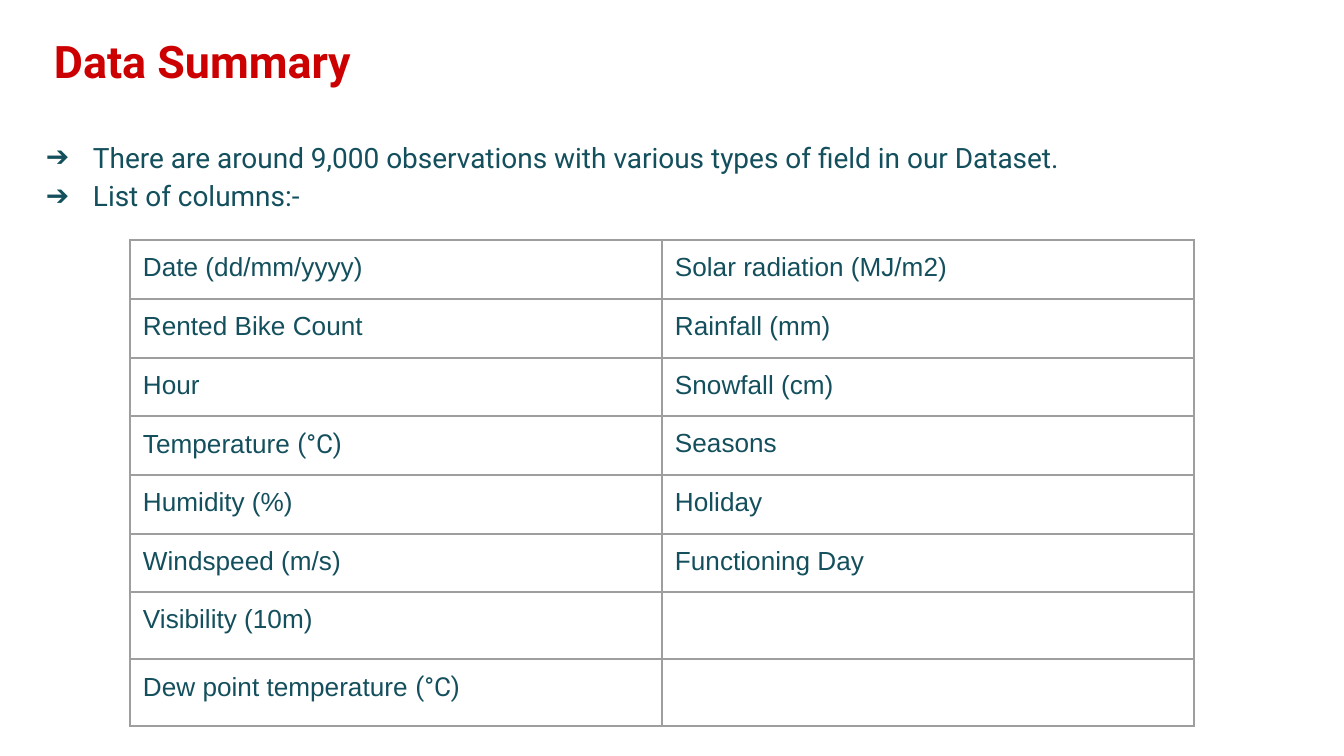
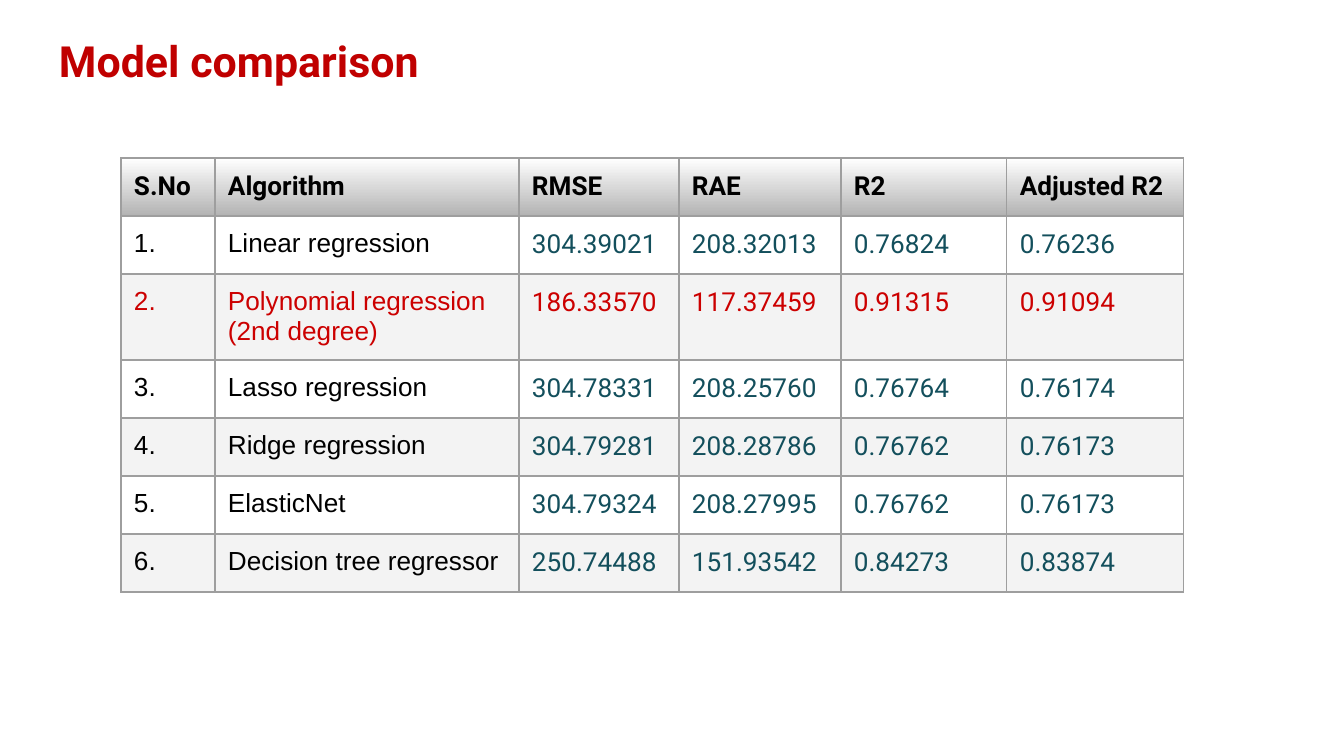
from lxml.etree import SubElement
from pptx import Presentation
from pptx.dml.color import RGBColor
from pptx.enum.text import MSO_ANCHOR, MSO_AUTO_SIZE, PP_ALIGN
from pptx.oxml.ns import qn
from pptx.util import Emu, Pt

# Shared style
RED = RGBColor(0xCC, 0x00, 0x00)
DARK_RED = RGBColor(0xC0, 0x00, 0x00)
TEAL = RGBColor(0x13, 0x4F, 0x5C)
BLACK = RGBColor(0x00, 0x00, 0x00)
WHITE = RGBColor(0xFF, 0xFF, 0xFF)
HEADER_GREY = RGBColor(0xB3, 0xB3, 0xB3)
BAND_GREY = RGBColor(0xF3, 0xF3, 0xF3)
BORDER = RGBColor(0x9E, 0x9E, 0x9E)
ARIAL, ROBOTO = "Arial", "Roboto"
INSET = 13
CELL_SIZE = 14

# Slide 1 content
SUMMARY_POINTS = [
    "There are around 9,000 observations with various types of field in our Dataset.",
    "List of columns:-",
]
UNIT = "(°C)"
FIELDS = [
    ("Date (dd/mm/yyyy)", "Solar radiation (MJ/m2)"),
    ("Rented Bike Count", "Rainfall (mm)"),
    ("Hour", "Snowfall (cm)"),
    ("Temperature (°C)", "Seasons"),
    ("Humidity (%)", "Holiday"),
    ("Windspeed (m/s)", "Functioning Day"),
    ("Visibility (10m)", ""),
    ("Dew point temperature (°C)", ""),
]

# Slide 2 content
HEADERS = ("S.No", "Algorithm", "RMSE", "RAE", "R2", "Adjusted R2")
MODELS = [
    ("Linear regression", "304.39021", "208.32013", "0.76824", "0.76236"),
    ("Polynomial regression (2nd degree)", "186.33570", "117.37459", "0.91315", "0.91094"),
    ("Lasso regression", "304.78331", "208.25760", "0.76764", "0.76174"),
    ("Ridge regression", "304.79281", "208.28786", "0.76762", "0.76173"),
    ("ElasticNet", "304.79324", "208.27995", "0.76762", "0.76173"),
    ("Decision tree regressor", "250.74488", "151.93542", "0.84273", "0.83874"),
]
BEST = 2


def px(n):
    return Emu(round(n * 914400 / 134.4))


def add_run(p, text, size, font, color, bold=False):
    r = p.add_run()
    r.text = text
    r.font.size = Pt(size)
    r.font.name = font
    r.font.bold = bold
    r.font.color.rgb = color


def set_frame(tf, left=INSET, top=INSET):
    tf.word_wrap = True
    tf.auto_size = MSO_AUTO_SIZE.NONE
    tf.vertical_anchor = MSO_ANCHOR.TOP
    tf.margin_left, tf.margin_top = px(left), px(top)
    tf.margin_right = tf.margin_bottom = px(INSET)


def add_slide(prs, title, box, size, color, **insets):
    s = prs.slides.add_slide(prs.slide_layouts[5])
    sp = s.shapes.title
    sp.left, sp.top, sp.width, sp.height = map(px, box)
    set_frame(sp.text_frame, **insets)
    p = sp.text_frame.paragraphs[0]
    p.alignment = PP_ALIGN.LEFT
    add_run(p, title, size, ROBOTO, color, True)
    return s


def add_arrow_bullet(p):
    pPr = p._p.get_or_add_pPr()
    pPr.set("marL", str(px(67)))
    pPr.set("indent", str(px(-47)))
    clr = SubElement(pPr, qn("a:buClr"))
    SubElement(clr, qn("a:srgbClr"), val=str(TEAL))
    SubElement(pPr, qn("a:buFont"), typeface=ROBOTO)
    SubElement(pPr, qn("a:buChar"), char="➔")


def set_borders(cell):
    tcPr = cell._tc.get_or_add_tcPr()
    for side in ("lnL", "lnR", "lnT", "lnB"):
        ln = SubElement(tcPr, qn(f"a:{side}"), w=str(Pt(0.75)))
        fill = SubElement(ln, qn("a:solidFill"))
        SubElement(fill, qn("a:srgbClr"), val=str(BORDER))


def add_grid(s, left, top, widths, heights):
    frame = s.shapes.add_table(len(heights), len(widths), px(left), px(top),
                               px(sum(widths)), px(sum(heights)))
    table = frame.table
    table.first_row = table.horz_banding = False
    for col, w in zip(table.columns, widths):
        col.width = px(w)
    for row, h in zip(table.rows, heights):
        row.height = px(h)
    for cell in table.iter_cells():
        cell.margin_left = cell.margin_right = px(INSET)
        cell.margin_top = cell.margin_bottom = px(INSET)
        set_borders(cell)
        cell.fill.background()
    return table


def build_summary(prs):
    s = add_slide(prs, "Data Summary", (27, 16, 1271, 106), 24, RED, left=27, top=18)

    # Bulleted introduction
    tf = s.shapes.add_textbox(px(13), px(122), px(1306), px(106)).text_frame
    set_frame(tf)
    for i, text in enumerate(SUMMARY_POINTS):
        p = tf.add_paragraph() if i else tf.paragraphs[0]
        p.line_spacing = 1.15
        add_arrow_bullet(p)
        add_run(p, text, 15, ROBOTO, TEAL)

    # Field table
    table = add_grid(s, 130, 240, [532] * 2, [59, 59, 58] * 2 + [65, 64])
    for i, fields in enumerate(FIELDS):
        for j, text in enumerate(fields):
            p = table.cell(i, j).text_frame.paragraphs[0]
            name, unit, _ = text.partition(UNIT)
            for part, font in ((name, ARIAL), (unit, ROBOTO)):
                if part:
                    add_run(p, part, CELL_SIZE, font, TEAL)


def build_comparison(prs):
    s = add_slide(prs, "Model comparison", (46, 22, 988, 85), 23, DARK_RED)
    heights = [86 if i == BEST else 58 for i in range(len(MODELS) + 1)]
    table = add_grid(s, 121, 158, [94, 304, 160, 162, 166, 177], heights)

    # Header row
    for j, text in enumerate(HEADERS):
        cell = table.cell(0, j)
        cell.fill.gradient()
        cell.fill.gradient_angle = 270
        for stop, color in zip(cell.fill.gradient_stops, (WHITE, HEADER_GREY)):
            stop.color.rgb = color
        add_run(cell.text_frame.paragraphs[0], text, CELL_SIZE, ROBOTO, BLACK, True)

    # Model rows
    for i, model in enumerate(MODELS, 1):
        for j, text in enumerate((f"{i}.", *model)):
            cell = table.cell(i, j)
            if i % 2 == 0:
                cell.fill.solid()
                cell.fill.fore_color.rgb = BAND_GREY
            font, color = (ARIAL, BLACK) if j < 2 else (ROBOTO, TEAL)
            add_run(cell.text_frame.paragraphs[0], text, CELL_SIZE, font,
                    RED if i == BEST else color)


def main():
    prs = Presentation()
    prs.slide_width, prs.slide_height = px(1344), px(756)
    build_summary(prs)
    build_comparison(prs)
    prs.save("out.pptx")


if __name__ == "__main__":
    main()
